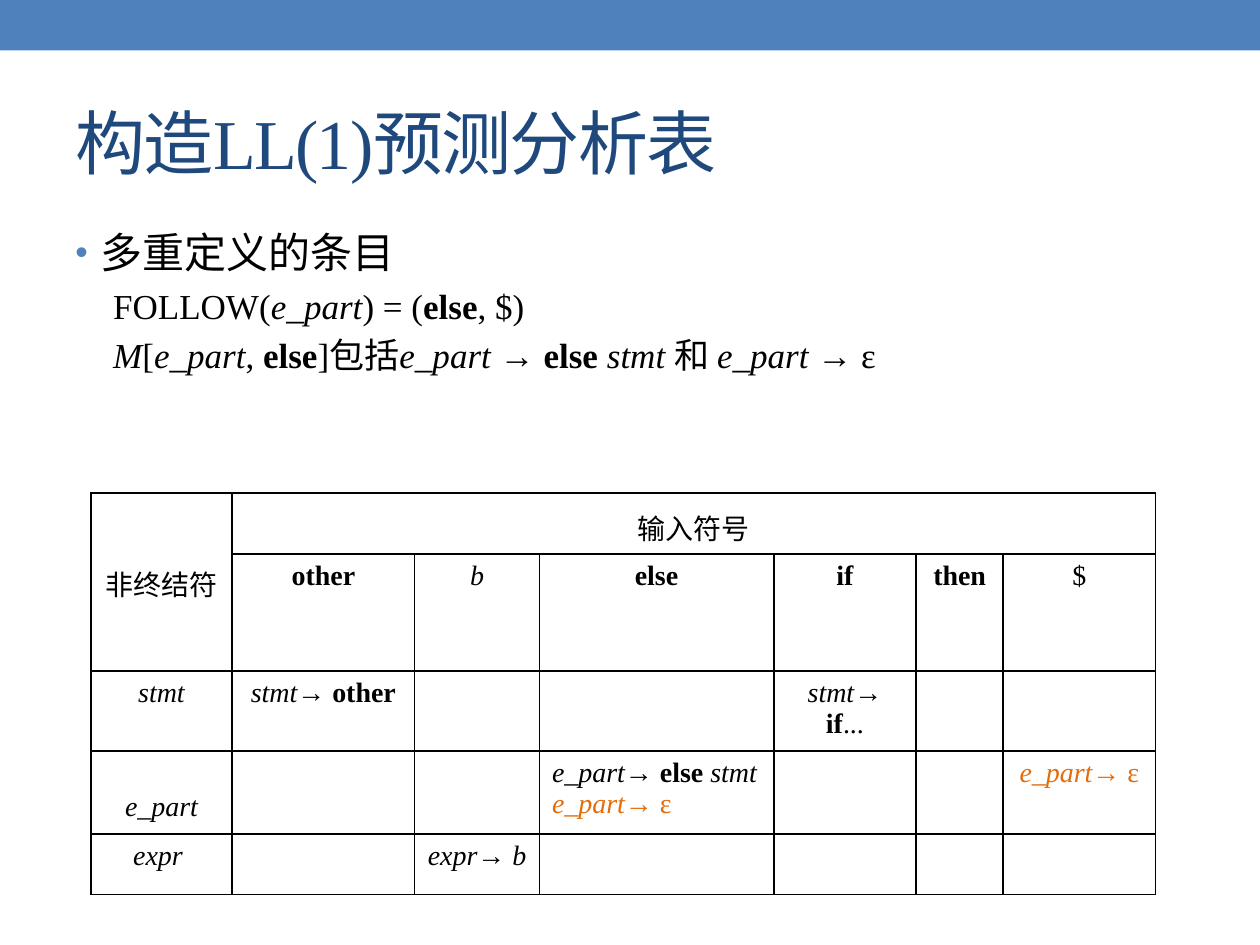
"""Build the slide on constructing an LL(1) predictive parsing table."""
from dataclasses import dataclass

from lxml.etree import SubElement
from pptx import Presentation
from pptx.dml.color import RGBColor as RGB
from pptx.enum.shapes import MSO_SHAPE as Shape
from pptx.enum.text import MSO_ANCHOR as Anchor, PP_ALIGN as Align
from pptx.oxml.ns import qn
from pptx.util import Pt


@dataclass(frozen=True)
class Theme:
    font: str = "Times New Roman"
    accent: str = "4F81BD"
    title: str = "1F497D"
    text: str = "000000"
    conflict: str = "E46C0A"
    title_size: int = 40
    body_size: int = 24
    rule_size: int = 20
    cell_size: int = 16


@dataclass(frozen=True)
class Run:
    text: str
    style: str = ""


@dataclass(frozen=True)
class Para:
    runs: tuple[Run, ...]
    size: float
    color: str
    align: Align = Align.LEFT
    line: float | None = None
    before: float = 0
    left: float = 0
    bullet: bool = False


@dataclass(frozen=True)
class Cell:
    row: int
    col: int
    paras: tuple[Para, ...]


T = Theme()


def write(tf, paras: tuple[Para, ...]) -> None:
    """Write formatted paragraphs into a text frame."""
    for i, para in enumerate(paras):
        p = tf.add_paragraph() if i else tf.paragraphs[0]
        p.alignment = para.align
        p.space_before = Pt(para.before)
        if para.line:
            p.line_spacing = para.line
        pPr = p._p.get_or_add_pPr()
        pPr.set("marL", str(Pt(para.left)))
        pPr.set("indent", str(Pt(-para.left if para.bullet else 0)))
        if para.bullet:
            SubElement(SubElement(pPr, qn("a:buClr")), qn("a:srgbClr"), val=T.accent)
            SubElement(pPr, qn("a:buSzPct"), val="85000")
            SubElement(pPr, qn("a:buFont"), typeface="Arial")
            SubElement(pPr, qn("a:buChar"), char="•")
        for run in para.runs:
            r = p.add_run()
            r.text = run.text
            r.font.name = T.font
            r.font.size = Pt(para.size)
            r.font.color.rgb = RGB.from_string(para.color)
            r.font.bold = "b" in run.style
            r.font.italic = "i" in run.style


def add_text(s, top: float, height: float, paras: tuple[Para, ...], anchor: Anchor):
    """Add a wrapped text box of the slide's content width."""
    tf = s.shapes.add_textbox(Pt(36), Pt(top), Pt(648), Pt(height)).text_frame
    tf.word_wrap = True
    tf.vertical_anchor = anchor
    write(tf, paras)
    return tf


def add_borders(cell) -> None:
    """Draw a thin line on all four sides of a cell."""
    tcPr = cell._tc.get_or_add_tcPr()
    for i, side in enumerate(("lnL", "lnR", "lnT", "lnB")):
        ln = tcPr.makeelement(qn(f"a:{side}"), {"w": str(Pt(1))})
        SubElement(SubElement(ln, qn("a:solidFill")), qn("a:srgbClr"), val=T.text)
        tcPr.insert(i, ln)


def entry(*runs: Run, color: str = T.text, align: Align = Align.CENTER,
          line: float | None = None) -> Para:
    """Return a paragraph in table style."""
    return Para(runs, T.cell_size, color, align, line)


def rule(*runs: Run) -> Para:
    """Return an indented paragraph in body style."""
    return Para(runs, T.rule_size, T.text, before=4, left=21.6)


def add_parse_table(s, cols: tuple[float, ...], rows: tuple[float, ...],
                    cells: tuple[Cell, ...]) -> None:
    """Add the bordered parsing table."""
    frame = s.shapes.add_table(len(rows), len(cols), Pt(52), Pt(281.6),
                               Pt(sum(cols)), Pt(sum(rows)))
    table = frame.table
    table.first_row = table.horz_banding = False
    for col, width in zip(table.columns, cols):
        col.width = Pt(width)
    for row, height in zip(table.rows, rows):
        row.height = Pt(height)
    for cell in table.iter_cells():
        cell.fill.background()
        add_borders(cell)
    table.cell(0, 0).merge(table.cell(1, 0))
    table.cell(0, 1).merge(table.cell(0, len(cols) - 1))
    for item in cells:
        write(table.cell(item.row, item.col).text_frame, item.paras)


E_PART, STMT, EXPR = Run("e_part", "i"), Run("stmt", "i"), Run("expr", "i")
ELSE, ARROW, EPSILON = Run("else", "b"), Run("→ "), Run("→ ε")
HEADS = (Run("other", "b"), Run("b", "i"), ELSE, Run("if", "b"), Run("then", "b"), Run("$"))

CELLS = (
    Cell(0, 0, (entry(Run("非终结符"), line=2.6),)),
    Cell(0, 1, (entry(Run("输入符号"), line=1.2),)),
    *(Cell(1, i, (entry(head),)) for i, head in enumerate(HEADS, 1)),
    Cell(2, 0, (entry(STMT),)),
    Cell(2, 1, (entry(STMT, ARROW, Run("other", "b")),)),
    Cell(2, 4, (entry(STMT, ARROW, Run("if", "b"), Run("...")),)),
    Cell(3, 0, (entry(E_PART, line=2.1),)),
    Cell(3, 3, (entry(E_PART, ARROW, Run("else ", "b"), STMT, align=Align.LEFT),
                entry(E_PART, EPSILON, color=T.conflict, align=Align.LEFT))),
    Cell(3, 6, (entry(E_PART, EPSILON, color=T.conflict),)),
    Cell(4, 0, (entry(Run("expr ", "i")),)),
    Cell(4, 2, (entry(EXPR, ARROW, Run("b", "i")),)),
)

BODY = (
    Para((Run("多重定义的条目"),), T.body_size, T.text, before=4.8, left=14.4, bullet=True),
    rule(Run("FOLLOW("), E_PART, Run(") = ("), ELSE, Run(", $)")),
    rule(Run("M", "i"), Run("["), E_PART, Run(", "), ELSE, Run("]包括"), E_PART,
         Run(" → "), Run("else ", "b"), Run("stmt ", "i"), Run("和"),
         Run(" e_part ", "i"), EPSILON),
)

prs = Presentation()
prs.slide_width, prs.slide_height = Pt(720), Pt(540)
s = prs.slides.add_slide(prs.slide_layouts[6])

band = s.shapes.add_shape(Shape.RECTANGLE, 0, 0, Pt(720), Pt(28.8))
band.shadow.inherit = False
band.fill.solid()
band.fill.fore_color.rgb = RGB.from_string(T.accent)
band.line.fill.background()

heading = Para((Run("构造LL(1)预测分析表"),), T.title_size, T.title)
tf = add_text(s, 41.8, 77.8, (heading,), Anchor.MIDDLE)
tf.paragraphs[0].runs[0].font._element.set("spc", "-100")
add_text(s, 126, 383.8, BODY, Anchor.TOP)
add_parse_table(s, (80.6, 104.4, 71.3, 133.9, 81.4, 49.7, 87.1),
                (35, 67, 43, 44.5, 34.5), CELLS)

prs.save("out.pptx")
